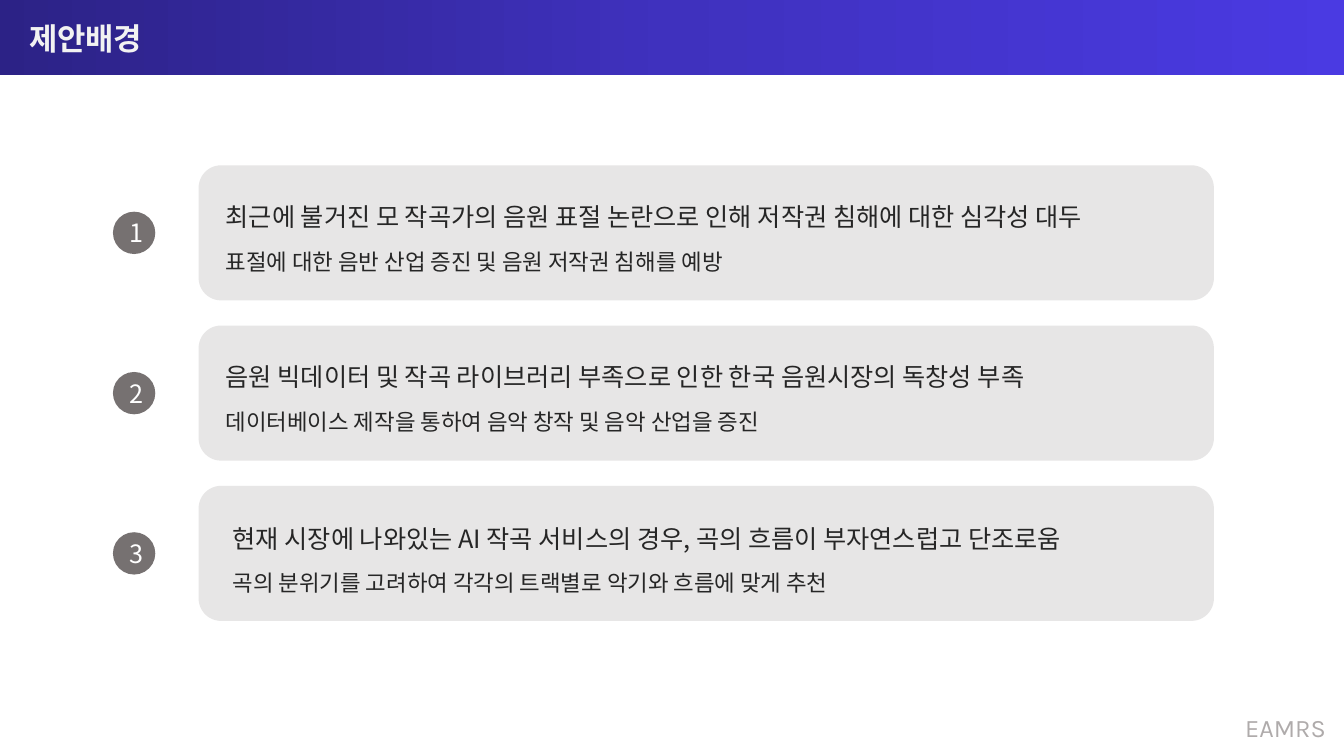
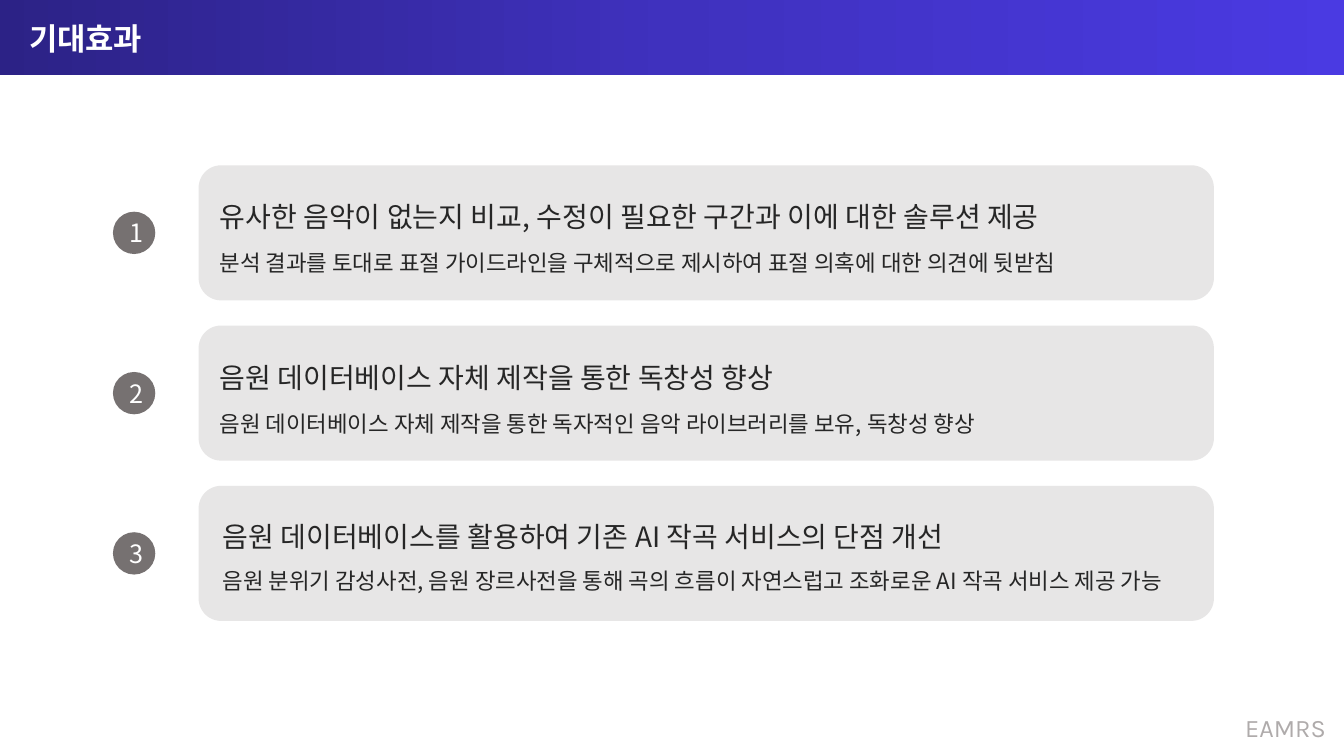
"""Build two numbered-card slides that share a title band, cards and footer."""

import copy
from dataclasses import dataclass
from typing import NamedTuple

import pptx
import pptx.dml.color
import pptx.enum.shapes
import pptx.enum.text
import pptx.oxml
import pptx.oxml.ns
import pptx.shapes.autoshape
import pptx.slide
import pptx.text.text
import pptx.util

SHAPES = pptx.enum.shapes.MSO_SHAPE
ALIGN = pptx.enum.text.PP_ALIGN
ANCHOR = pptx.enum.text.MSO_ANCHOR


@dataclass(frozen=True)
class Theme:
    """Colours, fonts and type sizes of the presentation."""

    band: tuple[str, ...] = ("2C2286", "3F31BE", "4A3AE2")
    card: str = "E7E6E6"
    badge: str = "767171"
    ink: str = "262626"
    white: str = "FFFFFF"
    soft_white: str = "F2F2F2"
    footer: str = "AFABAB"
    title_font: str = "Arial"
    body_font: str = "Noto Sans CJK KR"
    footer_font: str = "Karla"
    title_size: int = 22
    large_size: int = 20
    medium_size: int = 18
    small_size: int = 16


class Box(NamedTuple):
    """Left, top, width and height in inches."""

    left: float
    top: float
    width: float
    height: float

    def emu(self) -> list[int]:
        """Return the four lengths in slide units."""
        return [pptx.util.Inches(length) for length in self]


class Style(NamedTuple):
    """Look of one run of text."""

    size: int
    color: str
    font: str
    bold: bool = False


class Line(NamedTuple):
    """One paragraph and its style."""

    text: str
    style: Style


@dataclass(frozen=True)
class Card:
    """Texts of a card, with their inset from its corner and line spacing."""

    headline: str
    detail: str
    inset_x: float
    inset_y: float
    spacing: float = 1.6


@dataclass(frozen=True)
class Page:
    """Title and cards of one slide."""

    title: str
    title_color: str
    headline_size: int
    align: pptx.enum.text.PP_ALIGN
    text_width: float
    cards: tuple[Card, ...]


THEME = Theme()
SLIDE_WIDTH, SLIDE_HEIGHT = 13.33, 7.5
BAND = Box(0, 0, SLIDE_WIDTH, 0.74)
TITLE = Box(0.19, 0.1, 7.19, 0.61)
FOOTER = Box(12.16, 7.02, 1.18, 0.4)
FIRST_CARD = Box(1.97, 1.64, 10.07, 1.34)
ROW_PITCH = 1.59
BADGE_LEFT, BADGE_SIZE = 1.12, 0.42
TEXT_HEIGHT = 0.96

PAGES = (
    Page("제안배경", THEME.soft_white, THEME.medium_size, ALIGN.JUSTIFY, 10.07, (
        Card("최근에 불거진 모 작곡가의 음원 표절 논란으로 인해 저작권 침해에 대한 심각성 대두",
             "표절에 대한 음반 산업 증진 및 음원 저작권 침해를 예방", 0.17, 0.13),
        Card("음원 빅데이터 및 작곡 라이브러리 부족으로 인한 한국 음원시장의 독창성 부족",
             "데이터베이스 제작을 통하여 음악 창작 및 음악 산업을 증진", 0.17, 0.13),
        Card("현재 시장에 나와있는 AI 작곡 서비스의 경우, 곡의 흐름이 부자연스럽고 단조로움",
             "곡의 분위기를 고려하여 각각의 트랙별로 악기와 흐름에 맞게 추천", 0.24, 0.14),
    )),
    Page("기대효과", THEME.white, THEME.large_size, ALIGN.LEFT, 10.25, (
        Card("유사한 음악이 없는지 비교, 수정이 필요한 구간과 이에 대한 솔루션 제공",
             "분석 결과를 토대로 표절 가이드라인을 구체적으로 제시하여 표절 의혹에 대한 의견에 뒷받침",
             0.11, 0.09),
        Card("음원 데이터베이스 자체 제작을 통한 독창성 향상",
             "음원 데이터베이스 자체 제작을 통한 독자적인 음악 라이브러리를 보유, 독창성 향상",
             0.11, 0.1),
        Card("음원 데이터베이스를 활용하여 기존 AI 작곡 서비스의 단점 개선",
             "음원 분위기 감성사전, 음원 장르사전을 통해 곡의 흐름이 자연스럽고 조화로운 AI 작곡 서비스 제공 가능",
             0.14, 0.12, 1.5),
    )),
)


def rgb(color: str) -> pptx.dml.color.RGBColor:
    """Turn a hexadecimal string into a colour."""
    return pptx.dml.color.RGBColor.from_string(color)


def write(frame: pptx.text.text.TextFrame, lines: list[Line],
          align: pptx.enum.text.PP_ALIGN, spacing: float = 1.0) -> None:
    """Write one paragraph per line into a text frame."""
    frame.word_wrap = True
    for index, line in enumerate(lines):
        paragraph = frame.add_paragraph() if index else frame.paragraphs[0]
        paragraph.alignment = align
        paragraph.line_spacing = spacing
        run = paragraph.add_run()
        run.text = line.text
        run.font.size = pptx.util.Pt(line.style.size)
        run.font.bold = line.style.bold
        run.font.color.rgb = rgb(line.style.color)
        run.font.name = line.style.font
        east_asian = pptx.oxml.parse_xml(
            f'<a:ea {pptx.oxml.ns.nsdecls("a")} typeface="{THEME.body_font}"/>')
        run.font._element.append(east_asian)


def add_text(slide: pptx.slide.Slide, box: Box, lines: list[Line],
             align: pptx.enum.text.PP_ALIGN, spacing: float = 1.0,
             anchor: pptx.enum.text.MSO_ANCHOR = ANCHOR.TOP) -> None:
    """Add a wrapping text box."""
    frame = slide.shapes.add_textbox(*box.emu()).text_frame
    frame.vertical_anchor = anchor
    write(frame, lines, align, spacing)


def add_shape(slide: pptx.slide.Slide, kind: pptx.enum.shapes.MSO_SHAPE,
              box: Box, color: str) -> pptx.shapes.autoshape.Shape:
    """Add a flat shape without outline or shadow."""
    shape = slide.shapes.add_shape(kind, *box.emu())
    shape.shadow.inherit = False
    shape.line.fill.background()
    shape.fill.solid()
    shape.fill.fore_color.rgb = rgb(color)
    return shape


def add_frame(slide: pptx.slide.Slide, page: Page) -> None:
    """Add the gradient band, the title and the footer."""
    band = add_shape(slide, SHAPES.RECTANGLE, BAND, THEME.band[0])
    band.fill.gradient()
    band.fill.gradient_angle = 0
    stop_list = band._element.spPr.find(".//" + pptx.oxml.ns.qn("a:gsLst"))
    stop_list.append(copy.deepcopy(stop_list[-1]))
    for index, (stop, color) in enumerate(zip(band.fill.gradient_stops, THEME.band)):
        stop.color.rgb = rgb(color)
        stop.position = index / (len(THEME.band) - 1)
    title_style = Style(THEME.title_size, page.title_color, THEME.title_font, True)
    add_text(slide, TITLE, [Line(page.title, title_style)], ALIGN.LEFT, 0.9, ANCHOR.MIDDLE)
    footer_style = Style(THEME.medium_size, THEME.footer, THEME.footer_font)
    add_text(slide, FOOTER, [Line("EAMRS", footer_style)], ALIGN.CENTER)


def add_card(slide: pptx.slide.Slide, page: Page, row: int, card: Card) -> None:
    """Add one card with its texts and numbered badge."""
    box = FIRST_CARD._replace(top=FIRST_CARD.top + row * ROW_PITCH)
    add_shape(slide, SHAPES.ROUNDED_RECTANGLE, box, THEME.card)
    text_box = Box(box.left + card.inset_x, box.top + card.inset_y,
                   page.text_width, TEXT_HEIGHT)
    lines = [Line(card.headline, Style(page.headline_size, THEME.ink, THEME.body_font)),
             Line(card.detail, Style(THEME.small_size, THEME.ink, THEME.body_font))]
    add_text(slide, text_box, lines, page.align, card.spacing)
    badge_top = box.top + (box.height - BADGE_SIZE) / 2
    badge = add_shape(slide, SHAPES.OVAL,
                      Box(BADGE_LEFT, badge_top, BADGE_SIZE, BADGE_SIZE), THEME.badge)
    badge.text_frame.vertical_anchor = ANCHOR.MIDDLE
    number_style = Style(THEME.medium_size, THEME.white, THEME.body_font)
    write(badge.text_frame, [Line(str(row + 1), number_style)], ALIGN.CENTER)


def main() -> None:
    """Build and save the presentation."""
    presentation = pptx.Presentation()
    presentation.slide_width = pptx.util.Inches(SLIDE_WIDTH)
    presentation.slide_height = pptx.util.Inches(SLIDE_HEIGHT)
    for page in PAGES:
        slide = presentation.slides.add_slide(presentation.slide_layouts[6])
        add_frame(slide, page)
        for row, card in enumerate(page.cards):
            add_card(slide, page, row, card)
    presentation.save("out.pptx")


if __name__ == "__main__":
    main()
